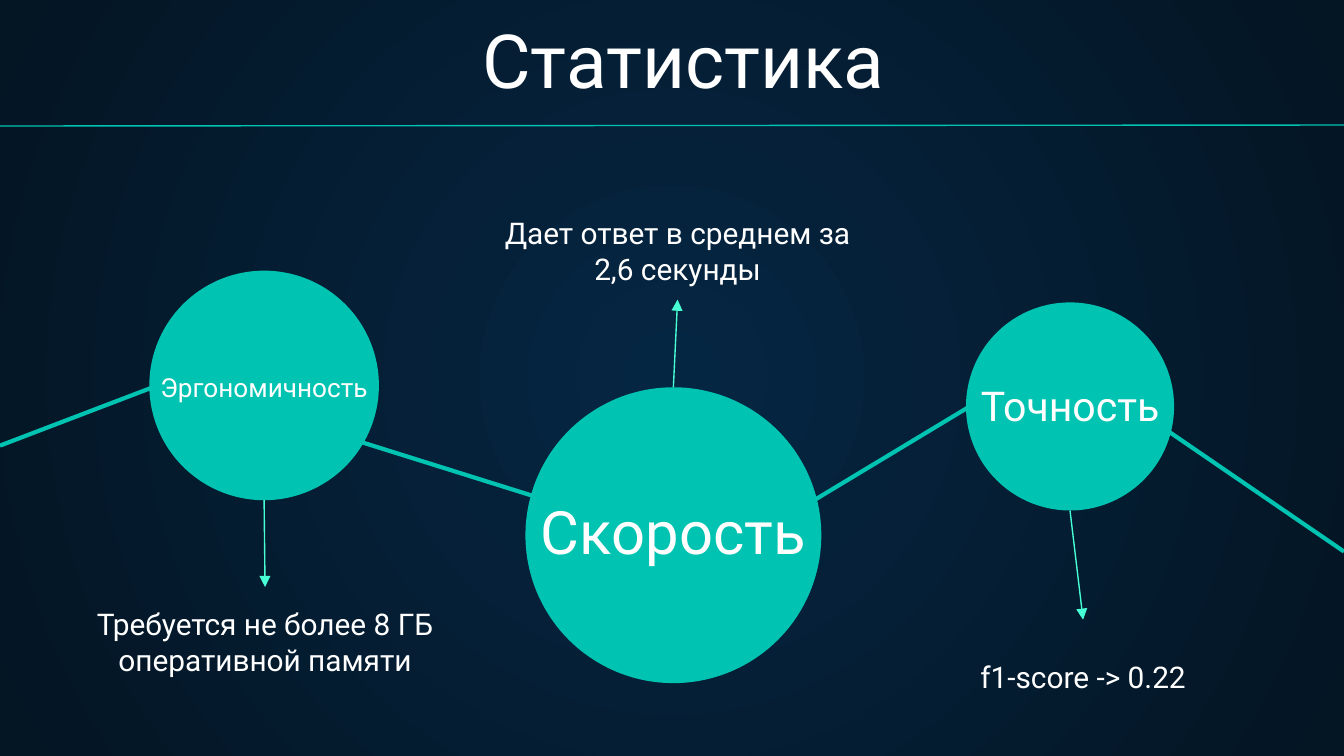
import pptx
import pptx.dml.color
import pptx.enum.dml
import pptx.enum.shapes
import pptx.enum.text
import pptx.oxml.ns
import pptx.util
from lxml import etree

Pt = pptx.util.Pt
qn = pptx.oxml.ns.qn
ALIGN = pptx.enum.text.PP_ALIGN

SLIDE_WIDTH, SLIDE_HEIGHT = 720, 405
FONT = "Roboto"
COLORS = {
    "center": "052643",
    "edge": "041523",
    "teal": "00C3B1",
    "arrow": "48FFD5",
    "text": "FFFFFF",
}

METRICS = [
    {
        "circle": (80, 145, 123),
        "label": ("Эргономичность", 14, 175.5, 32.5),
        "note": ("Требуется не более 8 ГБ оперативной памяти", 206.5, 314.5, 55.5),
        "arrow": (0.5, 314.5),
    },
    {
        "circle": (281.5, 207.5, 158.5),
        "label": ("Скорость", 32, 178.5, 47.5),
        "note": ("Дает ответ в среднем за 2,6 секунды", 206.5, 87, 73.5),
        "arrow": (2.25, 160.5),
    },
    {
        "circle": (517.5, 162, 111.5),
        "label": ("Точность", 22, 178.5, 39.5),
        "note": ("f1-score -> 0.22", 247.5, 301, 78),
        "arrow": (7, 332),
    },
]

LINKS = [
    (0, 238.75, 101.5, 200),
    (184.5, 234, 310.5, 273.5),
    (395.5, 292.5, 536.5, 207.5),
    (601, 214, 720, 295.5),
]


def rgb(name):
    return pptx.dml.color.RGBColor.from_string(COLORS[name])


def paint_background(slide):
    fill = slide.background.fill
    fill.gradient()
    for stop, position, name in zip(fill.gradient_stops, (0, 1), ("center", "edge")):
        stop.position = position
        stop.color.rgb = rgb(name)
    gradient = slide.element.find(".//" + qn("a:gradFill"))
    gradient.remove(gradient.find(qn("a:lin")))
    circle = etree.SubElement(gradient, qn("a:path"), {"path": "circle"})
    sides = {side: "50000" for side in "ltrb"}
    etree.SubElement(circle, qn("a:fillToRect"), sides)


def write_text(shape, text, size, alignment):
    frame = shape.text_frame
    frame.text = text
    frame.word_wrap = True
    frame.auto_size = pptx.enum.text.MSO_AUTO_SIZE.NONE
    frame.vertical_anchor = pptx.enum.text.MSO_ANCHOR.BOTTOM
    frame.margin_left = frame.margin_right = Pt(7.2)
    frame.margin_top = frame.margin_bottom = Pt(7.2)
    paragraph = frame.paragraphs[0]
    paragraph.alignment = alignment
    paragraph.font.name = FONT
    paragraph.font.size = Pt(size)
    paragraph.font.color.rgb = rgb("text")


def add_text(slide, box, text, size):
    shape = slide.shapes.add_textbox(*map(Pt, box))
    write_text(shape, text, size, ALIGN.CENTER)


def add_line(slide, ends, color, width, arrow=False):
    connector = slide.shapes.add_connector(
        pptx.enum.shapes.MSO_CONNECTOR.STRAIGHT, *map(Pt, ends)
    )
    connector.line.color.rgb = rgb(color)
    connector.line.width = Pt(width)
    if arrow:
        outline = connector.line._get_or_add_ln()
        etree.SubElement(outline, qn("a:tailEnd"), {"type": "triangle"})
    etree.SubElement(connector.element.spPr, qn("a:effectLst"))


def add_header(slide, box):
    left, top, width, height = box
    title = slide.shapes.title
    title.left, title.top = Pt(left + 251.25), Pt(top + 15)
    title.width, title.height = Pt(235.5), Pt(47.5)
    write_text(title, "Статистика", 40, ALIGN.LEFT)
    bottom = top + height
    add_line(slide, (left, bottom, left + width, bottom - 0.5), "teal", 0.75)


def add_links(slide, box):
    left, top = box[:2]
    for x1, y1, x2, y2 in LINKS:
        add_line(slide, (left + x1, top + y1, left + x2, top + y2), "teal", 2.25)


def add_metric(slide, box, metric):
    left, top = box[:2]
    x, y, diameter = metric["circle"]
    x, y = left + x, top + y
    center_x, center_y = x + diameter / 2, y + diameter / 2
    circle = slide.shapes.add_shape(
        pptx.enum.shapes.MSO_SHAPE.OVAL, Pt(x), Pt(y), Pt(diameter), Pt(diameter)
    )
    circle.shadow.inherit = False
    circle.fill.solid()
    circle.fill.fore_color.rgb = rgb("teal")
    circle.line.fill.background()

    text, size, width, height = metric["label"]
    label_box = (center_x - width / 2, center_y - height / 2, width, height)
    add_text(slide, label_box, text, size)

    shift, tip = metric["arrow"]
    tip_x, tip_y = center_x + shift, top + tip
    start_y = y + diameter if tip_y > center_y else y
    add_line(slide, (center_x, start_y, tip_x, tip_y), "arrow", 0.75, arrow=True)

    text, width, note_top, height = metric["note"]
    add_text(slide, (tip_x - width / 2, top + note_top, width, height), text, 16)


def main():
    presentation = pptx.Presentation()
    presentation.slide_width = Pt(SLIDE_WIDTH)
    presentation.slide_height = Pt(SLIDE_HEIGHT)
    slide = presentation.slides.add_slide(presentation.slide_layouts[5])
    body = (0, 0, SLIDE_WIDTH, SLIDE_HEIGHT)
    paint_background(slide)
    add_header(slide, (0, 0, SLIDE_WIDTH, 67.5))
    add_links(slide, body)
    for metric in METRICS:
        add_metric(slide, body, metric)
    presentation.save("out.pptx")


if __name__ == "__main__":
    main()
